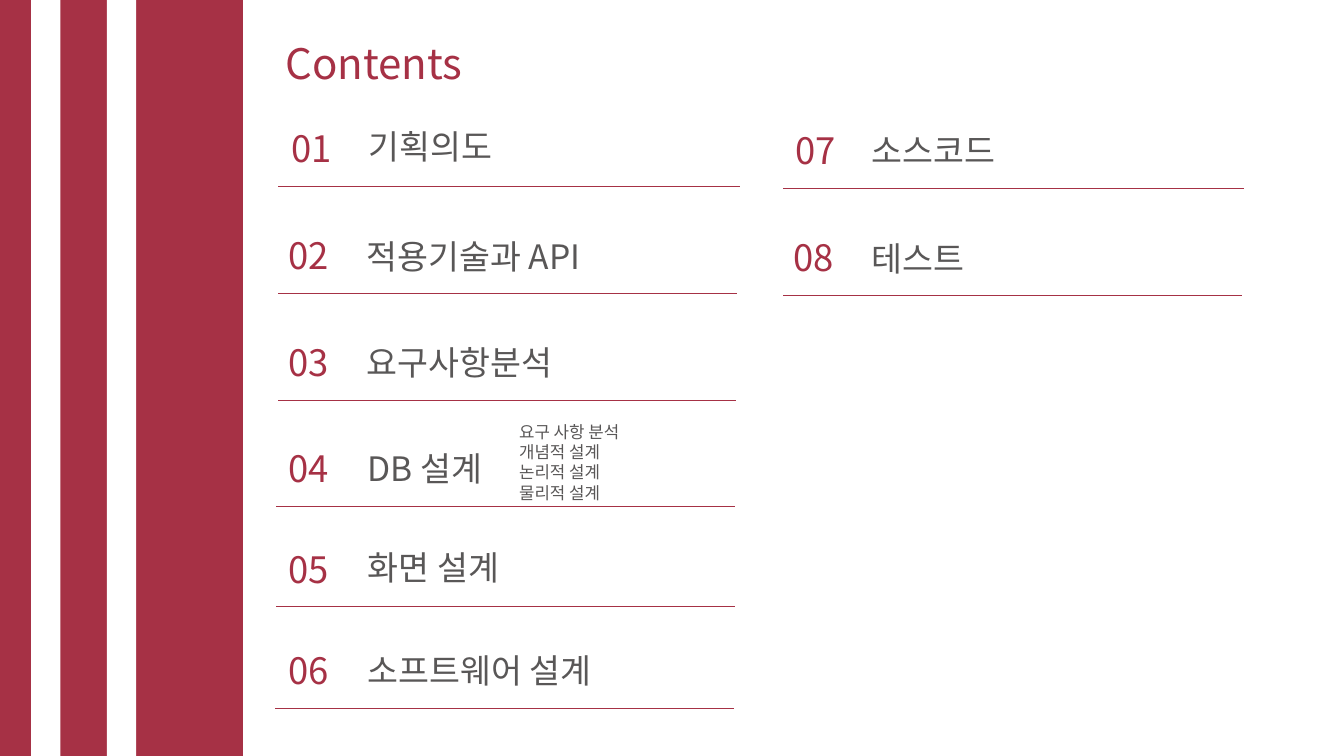
from lxml import etree
from pptx import Presentation
from pptx import util as u
from pptx.dml.color import RGBColor
from pptx.enum import shapes, text
from pptx.oxml.ns import qn

PX = 9144  # EMU per px, 100 px to the inch
FONT = "Noto Sans CJK KR"
CRIMSON, GRAY, WHITE = "A63145", "595757", "FFFFFF"
SLIDE_W, SLIDE_H = 1333, 750

NUMBER = {"size": u.Pt(26), "color": CRIMSON}
TOPIC = {"size": u.Pt(24), "color": GRAY}
DETAIL = {"size": u.Pt(12), "color": GRAY}
TITLE = {"size": u.Pt(30), "color": CRIMSON}

# number, topic, number left, topic left, topic top, rule left, rule right, rule y
ENTRIES = [
    ("01", "기획의도", 279, 356, 120, 276, 734, 185),
    ("02", "적용기술과 API", 276, 354, 229, 276, 731, 291),
    ("03", "요구사항분석", 276, 354, 334, 276, 730, 397),
    ("04", "DB 설계", 276, 355, 439, 274, 729, 502),
    ("05", "화면 설계", 276, 355, 538, 274, 729, 602),
    ("06", "소프트웨어 설계", 276, 355, 640, 273, 728, 703),
    ("07", "소스코드", 779, 855, 124, 777, 1234, 187),
    ("08", "테스트", 777, 855, 231, 777, 1232, 293),
]
DB_STEPS = ["요구 사항 분석", "개념적 설계", "논리적 설계", "물리적 설계"]


def px(*lengths):
    return [u.Emu(length * PX) for length in lengths]


def rgb(color):
    return RGBColor.from_string(color)


def write(shape, lines, style, anchor):
    frame = shape.text_frame
    settings = {"word_wrap": True, "vertical_anchor": anchor, "auto_size": text.MSO_AUTO_SIZE.NONE}
    for name, value in settings.items():
        setattr(frame, name, value)
    frame.text = "\n".join(lines)
    for paragraph in frame.paragraphs:
        paragraph.alignment = text.PP_ALIGN.LEFT
        for run in paragraph.runs:
            run.font.size, run.font.name = style["size"], FONT
            run.font.color.rgb = rgb(style["color"])
            etree.SubElement(run.font._element, qn("a:ea"), typeface=FONT)


def add_label(slide, box, lines, style):
    label = slide.shapes.add_textbox(*px(*box))
    write(label, lines, style, text.MSO_ANCHOR.MIDDLE)


def add_stripe(slide, left, width, color):
    stripe = slide.shapes.add_shape(shapes.MSO_SHAPE.RECTANGLE, *px(left, 0, width, SLIDE_H))
    stripe.shadow.inherit = False
    stripe.fill.solid()
    stripe.fill.fore_color.rgb = rgb(color)
    stripe.line.fill.background()


def add_rule(slide, left, right, y):
    rule = slide.shapes.add_connector(shapes.MSO_CONNECTOR.STRAIGHT, *px(left, y, right, y))
    rule.line.color.rgb = rgb(CRIMSON)
    rule.line.width = u.Pt(0.5)
    etree.SubElement(rule._element.spPr, qn("a:effectLst"))


def add_entry(slide, number, topic, number_left, topic_left, topic_top, rule_left, rule_right, rule_y):
    add_rule(slide, rule_left, rule_right, rule_y)
    add_label(slide, (number_left, rule_y - 65, 104, 54), [number], NUMBER)
    add_label(slide, (topic_left, topic_top, 360, 50), [topic], TOPIC)


def add_title(slide, box, title):
    heading = slide.shapes.title
    heading.left, heading.top, heading.width, heading.height = px(*box)
    write(heading, [title], TITLE, text.MSO_ANCHOR.TOP)


def main():
    deck = Presentation()
    deck.slide_width, deck.slide_height = px(SLIDE_W, SLIDE_H)
    slide = deck.slides.add_slide(deck.slide_layouts[5])
    add_title(slide, (273, 32, 236, 60), "Contents")
    add_stripe(slide, 0, 241, CRIMSON)
    for gap_left in (31, 106):
        add_stripe(slide, gap_left, 29, WHITE)
    for entry in ENTRIES:
        add_entry(slide, *entry)
    add_label(slide, (505, 413, 138, 91), DB_STEPS, DETAIL)
    deck.save("out.pptx")


if __name__ == "__main__":
    main()
